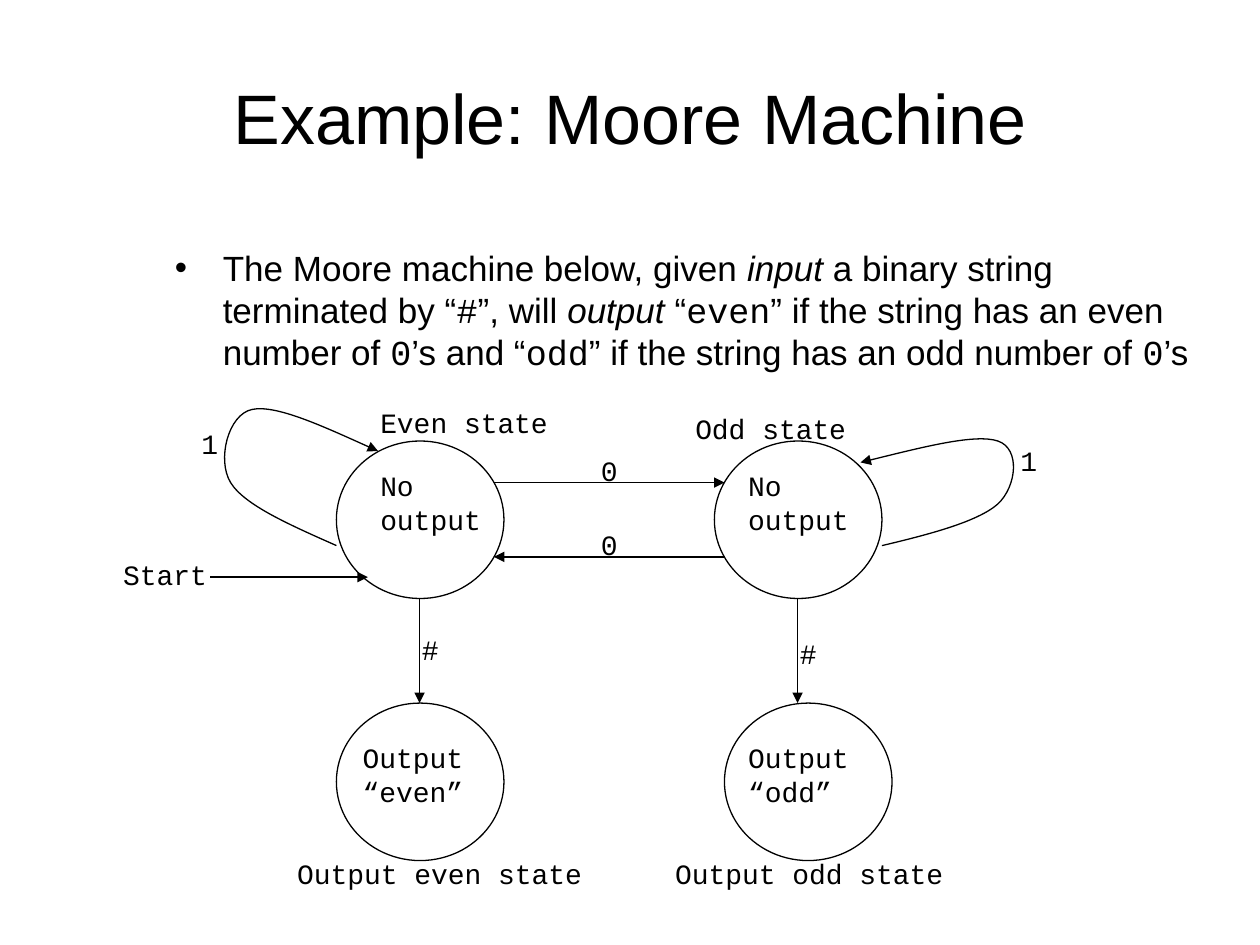
from lxml import etree
from pptx import Presentation
from pptx import util as u
from pptx.dml.color import RGBColor
from pptx.enum import shapes, text
from pptx.oxml.ns import qn

BLACK = RGBColor(0, 0, 0)
SANS, MONO = "Arial", "Courier New"
LINE_WIDTH = u.Pt(0.75)

BULLET = [
    ("The Moore machine below, given ", {}),
    ("input ", {"italic": True}),
    ("a binary string terminated by “", {}),
    ("#", {"name": MONO}),
    ("”, will ", {}),
    ("output", {"italic": True}),
    (" “", {}),
    ("even", {"name": MONO}),
    ("” if the string has an even number of ", {}),
    ("0", {"name": MONO}),
    ("’s and “", {}),
    ("odd", {"name": MONO}),
    ("” if the string has an odd number of ", {}),
    ("0", {"name": MONO}),
    ("’s", {}),
]

# Left and top of each state circle
STATES = [(2.67, 3.5), (5.67, 3.5), (2.67, 5.58), (5.75, 5.58)]

# Start and end of each straight transition
TRANSITIONS = [
    ((3.92, 3.83), (5.75, 3.83)),
    ((5.75, 4.42), (3.92, 4.42)),
    ((3.33, 4.75), (3.33, 5.58)),
    ((6.33, 4.75), (6.33, 5.58)),
    ((1.67, 4.58), (2.92, 4.58)),
]

# Start of each loop, then two control points and an end per curve
LOOPS = [
    [(2.67, 4.33), (2.31, 4.17), (1.94, 4.01), (1.83, 3.83),
     (1.72, 3.65), (1.81, 3.29), (2, 3.25),
     (2.19, 3.21), (2.6, 3.4), (3, 3.58)],
    [(7, 4.33), (7.38, 4.24), (7.76, 4.14), (7.92, 4),
     (8.07, 3.86), (8.1, 3.56), (7.92, 3.5),
     (7.74, 3.44), (7.28, 3.56), (6.83, 3.67)],
]

# Left, top, width and lines of each label
LABELS = [
    (2.92, 3.17, 1.54, ["Even state"]),
    (5.42, 3.22, 1.4, ["Odd state"]),
    (2.26, 6.75, 2.47, ["Output even state"]),
    (5.26, 6.75, 2.34, ["Output odd state"]),
    (2.92, 3.67, 1, ["No", "output"]),
    (5.84, 3.67, 1, ["No", "output"]),
    (2.78, 5.83, 1.13, ["Output", "“even”"]),
    (5.84, 5.83, 1.13, ["Output", "“odd”"]),
    (4.67, 3.55, 0.34, ["0"]),
    (4.67, 4.14, 0.34, ["0"]),
    (8, 3.47, 0.34, ["1"]),
    (1.5, 3.34, 0.34, ["1"]),
    (3.25, 4.97, 0.34, ["#"]),
    (6.25, 5, 0.34, ["#"]),
    (0.88, 4.38, 0.87, ["Start"]),
]


def add_box(page, left, top, width, height, **settings):
    box = page.shapes.add_textbox(*map(u.Inches, (left, top, width, height)))
    for key, value in {"word_wrap": True, **settings}.items():
        setattr(box.text_frame, key, value)
    return box.text_frame


def add_span(para, words, **style):
    span = para.add_run()
    span.text = words
    for key, value in style.items():
        setattr(span.font, key, value)
    span.font.color.rgb = BLACK


def style_line(shape, arrow=False):
    shape.line.color.rgb = BLACK
    shape.line.width = LINE_WIDTH
    if arrow:
        line = shape.line._get_or_add_ln()
        etree.SubElement(line, qn("a:tailEnd"), type="triangle")


def add_title(page, words):
    frame = add_box(page, 0.5, 0.3, 9, 1.25,
                    vertical_anchor=text.MSO_ANCHOR.MIDDLE)
    para = frame.paragraphs[0]
    para.alignment = text.PP_ALIGN.CENTER
    add_span(para, words, name=SANS, size=u.Pt(40))


def add_bullet(page, spans):
    para = add_box(page, 1.29, 1.91, 8.5, 4.5).paragraphs[0]
    props = para._p.get_or_add_pPr()
    props.set("marL", str(u.Inches(0.38)))
    props.set("indent", str(u.Inches(-0.38)))
    etree.SubElement(props, qn("a:buFont"), typeface=SANS)
    etree.SubElement(props, qn("a:buChar"), char="•")
    for words, style in spans:
        add_span(para, words, **{"name": SANS, "size": u.Pt(20), **style})


def add_state(page, left, top):
    circle = page.shapes.add_shape(
        shapes.MSO_SHAPE.OVAL, *map(u.Inches, (left, top, 1.33, 1.25)))
    circle.shadow.inherit = False
    circle.fill.background()
    style_line(circle)


def add_transition(page, start, end):
    arrow = page.shapes.add_connector(
        shapes.MSO_CONNECTOR.STRAIGHT, *map(u.Inches, start + end))
    style_line(arrow, arrow=True)
    etree.SubElement(arrow._element.spPr, qn("a:effectLst"))


def add_loop(page, points):
    start, *rest = [tuple(map(u.Inches, point)) for point in points]
    builder = page.shapes.build_freeform(*start)
    builder.add_line_segments(rest, close=False)
    loop = builder.convert_to_shape()

    # Join every three segments into one cubic curve
    segments = list(loop._element.iter(qn("a:lnTo")))
    outline = segments[0].getparent()
    for first in range(0, len(segments), 3):
        curve = etree.SubElement(outline, qn("a:cubicBezTo"))
        for segment in segments[first:first + 3]:
            curve.append(segment[0])
            outline.remove(segment)

    loop.shadow.inherit = False
    loop.fill.background()
    style_line(loop, arrow=True)


def add_label(page, left, top, width, lines):
    height = 0.1 + 0.27 * len(lines)
    frame = add_box(page, left, top, width, height, word_wrap=False,
                    auto_size=text.MSO_AUTO_SIZE.SHAPE_TO_FIT_TEXT)
    for index, words in enumerate(lines):
        para = frame.add_paragraph() if index else frame.paragraphs[0]
        add_span(para, words, name=MONO, size=u.Pt(16))


def main():
    deck = Presentation()
    deck.slide_width, deck.slide_height = u.Inches(10), u.Inches(7.5)
    page = deck.slides.add_slide(deck.slide_layouts[6])

    # Heading and explanation
    add_title(page, "Example: Moore Machine")
    add_bullet(page, BULLET)

    # State diagram
    for state in STATES:
        add_state(page, *state)
    for transition in TRANSITIONS:
        add_transition(page, *transition)
    for loop in LOOPS:
        add_loop(page, loop)
    for label in LABELS:
        add_label(page, *label)

    deck.save("out.pptx")


if __name__ == "__main__":
    main()
